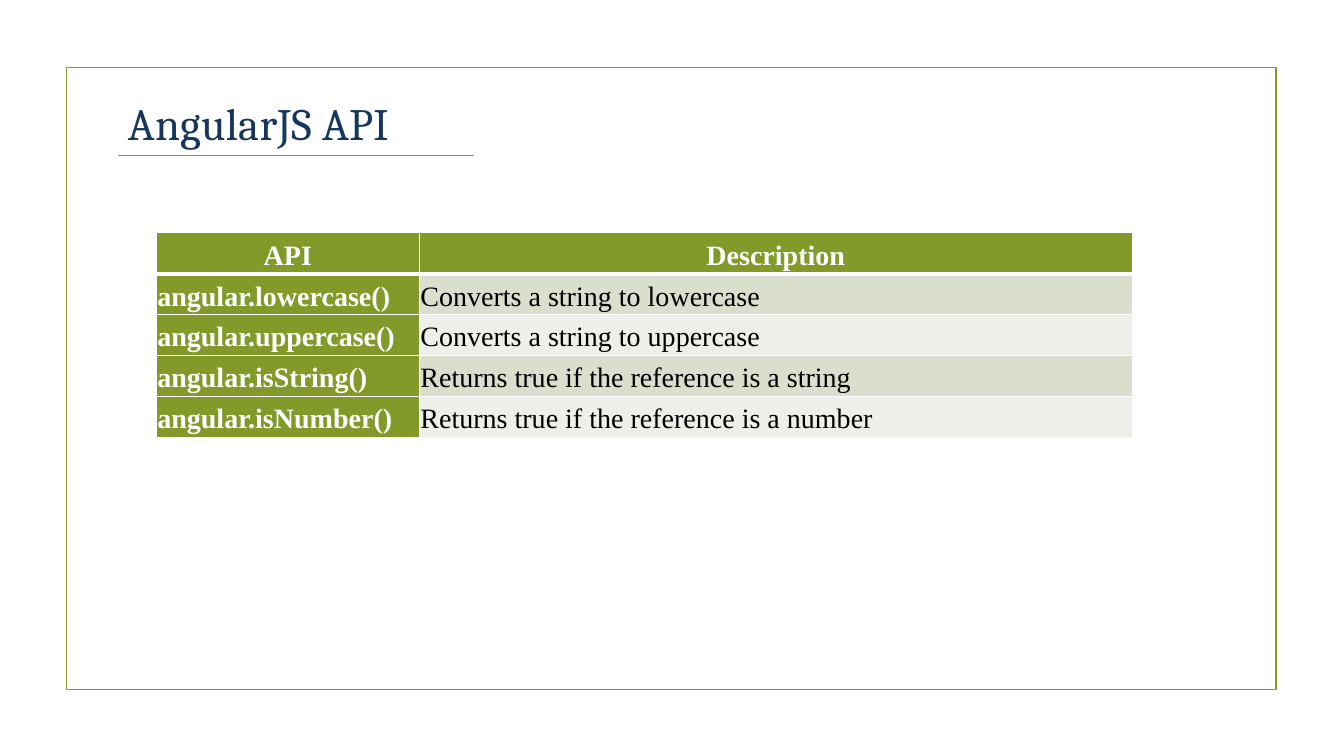
from lxml import etree
from pptx import Presentation
from pptx import util as u
from pptx.dml.color import RGBColor
from pptx.enum import shapes, text
from pptx.oxml import ns

COLORS = {"green": "83992A", "navy": "17365D", "white": "FFFFFF", "black": "000000",
          "band_dark": "D9DECD", "band_light": "EDEFE8"}
ROWS = [
    ("API", "Description"),
    ("angular.lowercase()", "Converts a string to lowercase"),
    ("angular.uppercase()", "Converts a string to uppercase"),
    ("angular.isString()", "Returns true if the reference is a string"),
    ("angular.isNumber()", "Returns true if the reference is a number"),
]
COLUMN_WIDTHS = [2.61, 7.07]
ROW_HEIGHT = 2.03 / len(ROWS)


def write_text(frame, content, font="Times New Roman", size=20, color="black", bold=False,
               align=text.PP_ALIGN.LEFT, line_spacing=1.0, space_after=0, tracking=0):
    paragraph = frame.paragraphs[0]
    paragraph.alignment = align
    paragraph.line_spacing = line_spacing
    paragraph.space_after = u.Pt(space_after)
    run = paragraph.add_run()
    run.text = content
    run.font.name = font
    run.font.size = u.Pt(size)
    run.font.bold = bold
    run.font.color.rgb = RGBColor.from_string(COLORS[color])
    if tracking:
        run.font._element.set("spc", str(round(tracking * 100)))


def set_borders(cell, widths):
    properties = cell._tc.get_or_add_tcPr()
    for index, (side, width) in enumerate(widths.items()):
        line = etree.Element(ns.qn(f"a:ln{side}"), w=str(u.Pt(width)))
        fill = etree.SubElement(line, ns.qn("a:solidFill"))
        etree.SubElement(fill, ns.qn("a:srgbClr"), val=COLORS["white"])
        properties.insert(index, line)


presentation = Presentation()
presentation.slide_width = u.Inches(13.33)
presentation.slide_height = u.Inches(7.5)
slide = presentation.slides.add_slide(presentation.slide_layouts[6])

frame = slide.shapes.add_shape(shapes.MSO_SHAPE.RECTANGLE, u.Inches(0.66), u.Inches(0.67),
                               u.Inches(12), u.Inches(6.17))
frame.shadow.inherit = False
frame.fill.background()
frame.line.color.rgb = RGBColor.from_string(COLORS["green"])
frame.line.width = u.Pt(1.25)

underline = slide.shapes.add_connector(shapes.MSO_CONNECTOR.STRAIGHT, u.Inches(1.17),
                                       u.Inches(1.54), u.Inches(4.7), u.Inches(1.54))
underline.line.color.rgb = RGBColor.from_string(COLORS["green"])
underline.line.width = u.Pt(0.75)
etree.SubElement(underline._element.spPr, ns.qn("a:effectLst"))

title = slide.shapes.add_textbox(u.Inches(1.17), u.Inches(0.9), u.Inches(2.92), u.Inches(0.64))
title.text_frame.word_wrap = False
title.text_frame.auto_size = text.MSO_AUTO_SIZE.SHAPE_TO_FIT_TEXT
write_text(title.text_frame, "AngularJS API", font="Cambria", size=32, color="navy",
           space_after=15, tracking=0.2)

table = slide.shapes.add_table(len(ROWS), len(COLUMN_WIDTHS), u.Inches(1.55), u.Inches(2.31),
                               u.Inches(sum(COLUMN_WIDTHS)),
                               u.Inches(ROW_HEIGHT * len(ROWS))).table
for column, width in zip(table.columns, COLUMN_WIDTHS):
    column.width = u.Inches(width)

for row_index, row in enumerate(ROWS):
    table.rows[row_index].height = u.Inches(ROW_HEIGHT)
    for column_index, content in enumerate(row):
        cell = table.cell(row_index, column_index)
        is_header = row_index == 0
        is_label = is_header or column_index == 0
        band = "band_dark" if row_index % 2 else "band_light"
        cell.fill.solid()
        cell.fill.fore_color.rgb = RGBColor.from_string(COLORS["green" if is_label else band])
        cell.vertical_anchor = text.MSO_ANCHOR.MIDDLE
        cell.margin_left = cell.margin_right = u.Inches(0.01)
        cell.margin_top = cell.margin_bottom = u.Inches(0.01)
        set_borders(cell, {"L": 1, "R": 1, "T": 3 if row_index == 1 else 1,
                           "B": 3 if is_header else 1})
        write_text(cell.text_frame, content, color="white" if is_label else "black",
                   bold=is_label, line_spacing=1.15, space_after=10,
                   align=text.PP_ALIGN.CENTER if is_header else text.PP_ALIGN.LEFT)

presentation.save("out.pptx")
